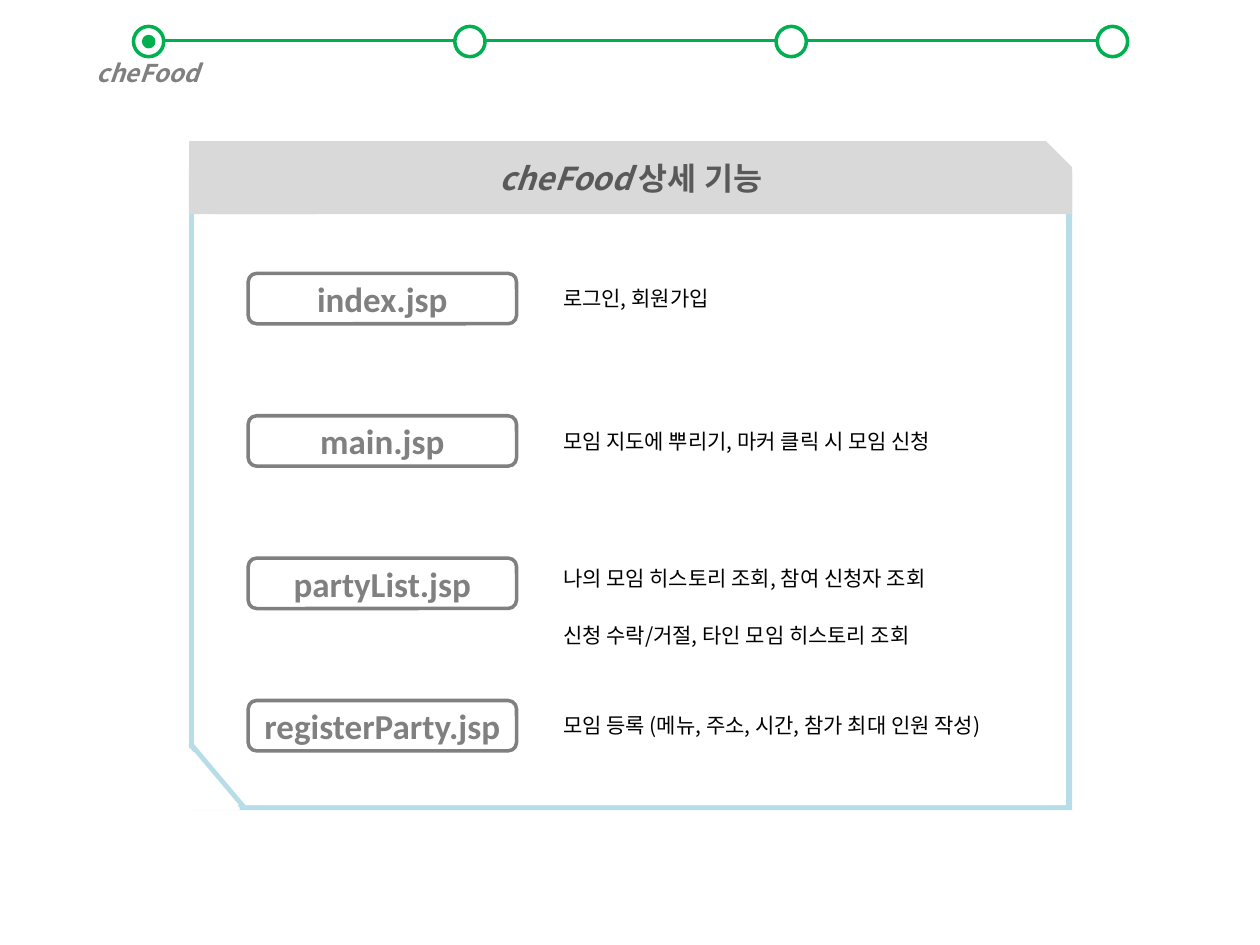
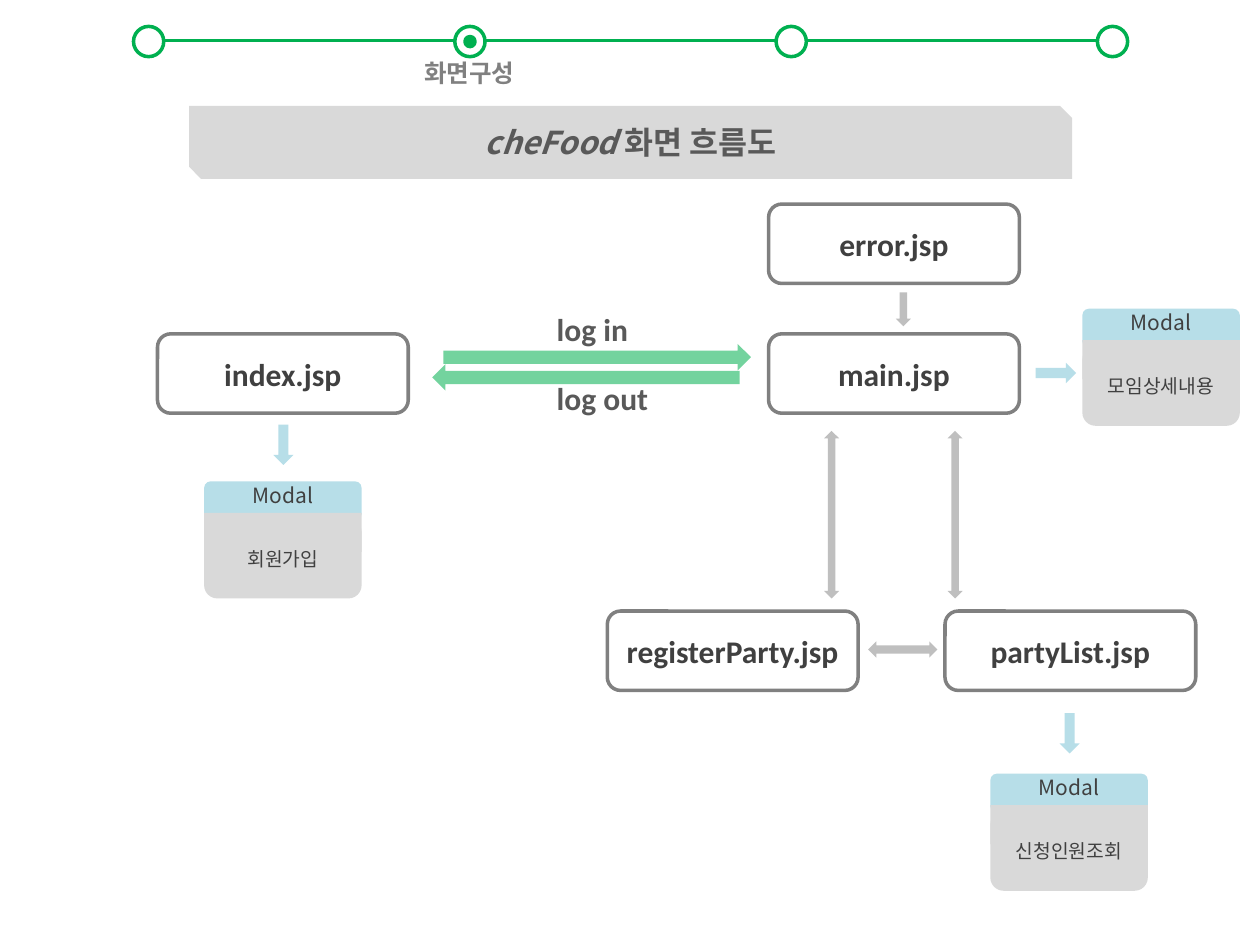
"""Build two cheFood slides: the feature list and the screen flow."""
import dataclasses

import lxml.etree
import pptx
import pptx.dml.color
import pptx.enum.shapes
import pptx.enum.text
import pptx.oxml.ns
import pptx.util

SHAPE = pptx.enum.shapes.MSO_SHAPE
ALIGN = pptx.enum.text.PP_ALIGN
ANCHOR = pptx.enum.text.MSO_ANCHOR
AUTO_SIZE = pptx.enum.text.MSO_AUTO_SIZE
qn = pptx.oxml.ns.qn

FIRST_STEP_X, STEP_GAP, STEP_COUNT = 106, 255, 4
STEP_SIZE, STEP_TOP, LINE_Y = 24, 21, 32
FIRST_ROW_Y, ROW_GAP, LINE_GAP = 217, 113, 45

FEATURES = [
    ("index.jsp", ["로그인, 회원가입"]),
    ("main.jsp", ["모임 지도에 뿌리기, 마커 클릭 시 모임 신청"]),
    ("partyList.jsp", ["나의 모임 히스토리 조회, 참여 신청자 조회",
                       "신청 수락/거절, 타인 모임 히스토리 조회"]),
    ("registerParty.jsp", ["모임 등록 (메뉴, 주소, 시간, 참가 최대 인원 작성)"]),
]
SCREENS = [
    ("error.jsp", 610, 162),
    ("index.jsp", 125, 265),
    ("main.jsp", 610, 265),
    ("registerParty.jsp", 482, 485),
    ("partyList.jsp", 750, 485),
]
MODALS = [("회원가입", 162, 382), ("신청인원조회", 786, 614), ("모임상세내용", 859, 245)]


@dataclasses.dataclass(frozen=True)
class Theme:
    """Colours, fonts, type sizes and line widths."""
    green: str = "00B050"
    blue: str = "B7DEE8"
    white: str = "FFFFFF"
    black: str = "000000"
    band: str = "D9D9D9"
    arrow: str = "BFBFBF"
    outline: str = "808080"
    heading: str = "595959"
    ink: str = "404040"
    latin: str = "Calibri"
    korean: str = "Noto Sans CJK KR"
    feature_size: int = 20
    title_size: int = 18
    step_size: int = 14
    body_size: int = 12
    modal_size: int = 11
    line_width: float = 2
    edge_width: float = 2.75
    see_through: int = 55


class Sketch:
    """Draws the elements of the current slide in one style."""

    def __init__(self, deck, theme):
        """Keep the deck and the theme."""
        self.deck, self.theme = deck, theme
        self.shapes = None

    def px(self, length):
        """Turn px, a hundred to the inch, into EMU."""
        return pptx.util.Emu(length * 9144)

    def colour(self, code):
        """Return a colour from its hex code."""
        return pptx.dml.color.RGBColor.from_string(code)

    def new_page(self):
        """Start a blank slide."""
        page = self.deck.slides.add_slide(self.deck.slide_layouts[6])
        self.shapes = page.shapes

    def shape(self, kind, frame, fill=None, line=None, turn=0, alpha=None):
        """Add a preset shape."""
        shape = self.shapes.add_shape(kind, *map(self.px, frame))
        shape.shadow.inherit = False
        shape.rotation = turn
        if fill:
            shape.fill.solid()
            shape.fill.fore_color.rgb = self.colour(fill)
        else:
            shape.fill.background()
        if line:
            shape.line.color.rgb = self.colour(line)
            shape.line.width = pptx.util.Pt(self.theme.line_width)
        else:
            shape.line.fill.background()
        if alpha:
            solid = shape._element.spPr.find(qn("a:solidFill"))
            lxml.etree.SubElement(solid[0], qn("a:alpha"), val=str(alpha * 1000))
        return shape

    def line(self, start, end, colour, width):
        """Add a straight line."""
        line = self.shapes.add_connector(
            pptx.enum.shapes.MSO_CONNECTOR.STRAIGHT, *map(self.px, start + end))
        line.line.color.rgb = self.colour(colour)
        line.line.width = pptx.util.Pt(width)
        lxml.etree.SubElement(line._element.spPr, qn("a:effectLst"))

    def set_text(self, box, text, size, colour, font, bold=False, italic=False,
                 align=ALIGN.CENTER):
        """Fill a box with one paragraph and return that paragraph."""
        para = box.text_frame.paragraphs[0]
        para.alignment = align
        para.add_run().text = text
        para.font.size = pptx.util.Pt(size)
        para.font.bold = bold
        para.font.italic = italic
        para.font.color.rgb = self.colour(colour)
        para.font.name = font
        defaults = para._p.pPr.find(qn("a:defRPr"))
        lxml.etree.SubElement(defaults, qn("a:ea"), typeface=self.theme.korean)
        return para

    def label(self, text, frame, size, colour, font, wrap=True, **style):
        """Add a text box."""
        box = self.shapes.add_textbox(*map(self.px, frame))
        box.text_frame.word_wrap = wrap
        box.text_frame.auto_size = AUTO_SIZE.SHAPE_TO_FIT_TEXT
        self.set_text(box, text, size, colour, font, **style)

    def card(self, text, frame, size, colour):
        """Add an outlined rounded box with a file name."""
        box = self.shape(SHAPE.ROUNDED_RECTANGLE, frame, line=self.theme.outline)
        box.text_frame.vertical_anchor = ANCHOR.MIDDLE
        self.set_text(box, text, size, colour, self.theme.latin, bold=True)

    def title(self, text, top, snip=None):
        """Add the title band with the project name in italics."""
        theme = self.theme
        band = self.shape(SHAPE.SNIP_2_DIAG_RECTANGLE, (150, top, 701, 58), theme.band)
        if snip:
            band.adjustments[1] = snip
        band.text_frame.vertical_anchor = ANCHOR.MIDDLE
        para = self.set_text(band, "cheFood ", theme.title_size, theme.heading,
                             theme.korean, bold=True)
        para.runs[0].font.italic = True
        para.add_run().text = text

    def progress(self, current, text, italic=False):
        """Add the progress line with its current step marked."""
        theme = self.theme
        last_x = FIRST_STEP_X + STEP_GAP * (STEP_COUNT - 1)
        self.line((FIRST_STEP_X + STEP_SIZE, LINE_Y), (last_x, LINE_Y),
                  theme.green, theme.line_width)
        for step in range(STEP_COUNT):
            x = FIRST_STEP_X + STEP_GAP * step
            self.shape(SHAPE.OVAL, (x, STEP_TOP, STEP_SIZE, STEP_SIZE),
                       theme.white, theme.green)
        x = FIRST_STEP_X + STEP_GAP * current
        self.shape(SHAPE.OVAL, (x + 8, STEP_TOP + 8, 8, 8), theme.green, theme.green)
        self.label(text, (x - 71, 41, 165, 34), theme.step_size, theme.outline,
                   theme.korean, bold=True, italic=italic)

    def modal(self, text, x, y):
        """Add a grouped modal window."""
        theme, page_shapes = self.theme, self.shapes
        self.shapes = page_shapes.add_group_shape().shapes
        self.shape(SHAPE.ROUNDED_RECTANGLE, (x, y, 125, 31), theme.blue)
        self.shape(SHAPE.RECTANGLE, (x, y + 25, 125, 31), theme.band)
        body = self.shape(SHAPE.ROUNDED_RECTANGLE, (x, y + 30, 125, 63), theme.band)
        body.text_frame.vertical_anchor = ANCHOR.MIDDLE
        self.set_text(body, text, theme.modal_size, theme.ink, theme.latin)
        self.label("Modal", (x + 10, y - 4, 105, 30), theme.body_size,
                   theme.ink, theme.korean)
        self.shapes = page_shapes


def build_features(sketch):
    """Draw the list of features for each screen."""
    theme = sketch.theme
    sketch.new_page()
    sketch.shape(SHAPE.RECTANGLE, (150, 138, 701, 505), theme.blue)
    sketch.shape(SHAPE.RECTANGLE, (154, 134, 692, 505), theme.white)
    sketch.progress(0, "cheFood", italic=True)
    for row, (name, lines) in enumerate(FEATURES):
        y = FIRST_ROW_Y + ROW_GAP * row
        sketch.card(name, (197, y, 213, 40), theme.feature_size, theme.outline)
        first_y = y + (5 if len(lines) == 1 else 1)
        for index, text in enumerate(lines):
            sketch.label(text, (437, first_y + LINE_GAP * index, 392, 30),
                         theme.body_size, theme.black, theme.korean,
                         wrap=False, align=ALIGN.LEFT)
    sketch.title("상세 기능", 112, snip=0.36)
    sketch.shape(SHAPE.RECTANGLE, (150, 134, 100, 36), theme.band)
    sketch.shape(SHAPE.RIGHT_TRIANGLE, (150, 595, 39, 47), theme.white, theme.white)
    sketch.line((151, 590), (194, 641), theme.blue, theme.edge_width)


def build_flow(sketch):
    """Draw the flow between the screens."""
    theme = sketch.theme
    sketch.new_page()
    sketch.title("화면 흐름도", 84)
    for name, x, y in SCREENS:
        sketch.card(name, (x, y, 199, 63), theme.title_size, theme.ink)
    for text, x, y, turn, text_y in (("log in", 352, 273, 0, 241),
                                     ("log out", 343, 289, 180, 296)):
        sketch.shape(SHAPE.RIGHT_ARROW, (x, y, 244, 21), theme.green,
                     turn=turn, alpha=theme.see_through)
        sketch.label(text, (432, text_y, 131, 40), theme.title_size, theme.heading,
                     theme.latin, bold=True, align=ALIGN.LEFT)
    for x in (654, 752):
        sketch.shape(SHAPE.UP_DOWN_ARROW, (x, 342, 12, 133), theme.arrow)
    sketch.shape(SHAPE.LEFT_RIGHT_ARROW, (689, 509, 55, 13), theme.arrow)
    sketch.shape(SHAPE.DOWN_ARROW, (711, 232, 12, 27), theme.arrow)
    for text, x, y in MODALS:
        sketch.modal(text, x, y)
    for x, y, turn in ((217, 337, 0), (841, 566, 0), (830, 280, 270)):
        sketch.shape(SHAPE.DOWN_ARROW, (x, y, 16, 32), theme.blue, turn=turn)
    sketch.progress(1, "화면구성")


def main():
    """Build and save the deck."""
    deck = pptx.Presentation()
    sketch = Sketch(deck, Theme())
    deck.slide_width, deck.slide_height = sketch.px(1000), sketch.px(750)
    build_features(sketch)
    build_flow(sketch)
    deck.save("out.pptx")


if __name__ == "__main__":
    main()
